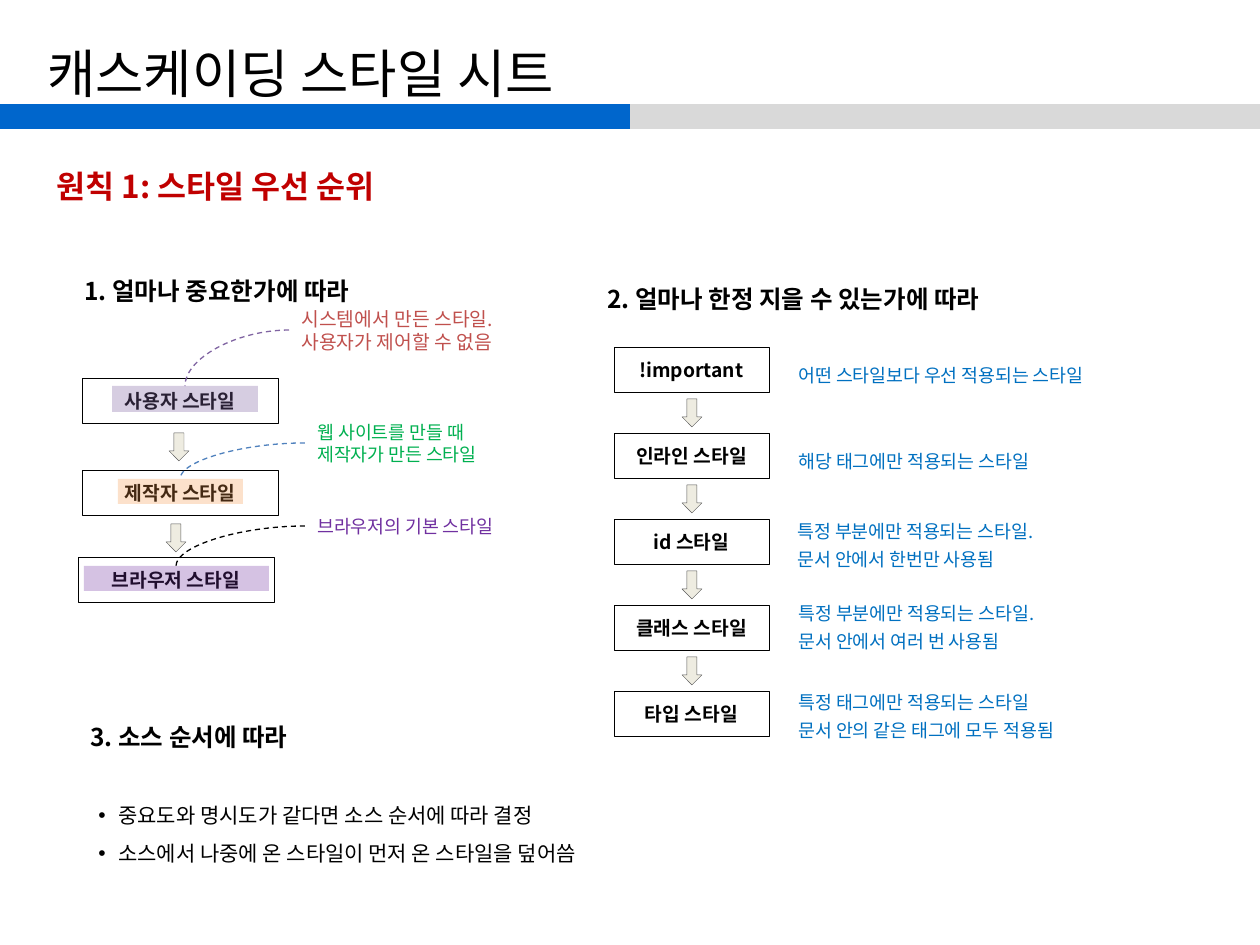
from lxml.etree import SubElement
from pptx import Presentation
from pptx.dml.color import RGBColor
from pptx.enum.dml import MSO_LINE
from pptx.enum.shapes import MSO_CONNECTOR, MSO_SHAPE
from pptx.enum.text import MSO_ANCHOR, PP_ALIGN
from pptx.oxml.ns import qn
from pptx.util import Pt

KOREAN = "Noto Sans CJK KR"
NO_STYLE = "{2D5ABB26-0587-4C30-8999-92F81FD0307C}"
BOX_HEIGHT = 45


def px(length):
    """Turn pixels into EMU at 126 pixels to the inch."""
    return round(length * 914400 / 126)


def paint(color_format, color):
    """Set a hex colour on a fill, line or font colour."""
    color_format.rgb = RGBColor.from_string(color)


def write(frame, lines, size, color="000000", bold=False, font=KOREAN, spacing=None, align=None):
    """Write each line as a paragraph; a tuple is one paragraph with line breaks."""
    frame.word_wrap = True
    for index, line in enumerate(lines):
        para = frame.paragraphs[0] if index == 0 else frame.add_paragraph()
        para.line_spacing = spacing
        para.alignment = align
        for number, part in enumerate(line if isinstance(line, tuple) else (line,)):
            if number:
                para.add_line_break()
            span = para.add_run()
            span.text = part
            span.font.name, span.font.size, span.font.bold = font, Pt(size), bold
            paint(span.font.color, color)
            SubElement(span.font._element, qn("a:ea"), typeface=KOREAN)


def add_text(page, box, lines, size, **style):
    """Add a wrapping text box and return its frame."""
    frame = page.shapes.add_textbox(*map(px, box)).text_frame
    write(frame, lines, size, **style)
    return frame


def add_figure(page, kind, box, fill=None, line=None, alpha=None):
    """Add a preset shape with optional fill, outline and opacity percentage."""
    shape = page.shapes.add_shape(kind, *map(px, box))
    shape.shadow.inherit = False
    if fill:
        shape.fill.solid()
        paint(shape.fill.fore_color, fill)
    else:
        shape.fill.background()
    if line:
        paint(shape.line.color, line)
        shape.line.width = Pt(0.25)
    else:
        shape.line.fill.background()
    if alpha:
        color = shape._element.spPr.find(qn("a:solidFill"))[0]
        SubElement(color, qn("a:alpha"), val=str(alpha * 1000))
    return shape


def add_step(page, left, top, width, label):
    """Add an outlined box with a centred bold label."""
    box = (left, top, width, BOX_HEIGHT)
    frame = add_figure(page, MSO_SHAPE.RECTANGLE, box, line="000000").text_frame
    frame.vertical_anchor = MSO_ANCHOR.MIDDLE
    write(frame, [label], 11, bold=True, align=PP_ALIGN.CENTER)


def add_arrow(page, left, top):
    """Add a small block arrow pointing down."""
    add_figure(page, MSO_SHAPE.DOWN_ARROW, (left, top, 20, 28), "EEECE1", "595959")


def add_curve(page, left, top, right, bottom, color):
    """Add a dashed quarter curve from the upper right to the lower left."""
    curve = page.shapes.add_connector(
        MSO_CONNECTOR.CURVE, px(left), px(bottom), px(right), px(top))
    properties = curve._element.spPr
    properties.find(qn("a:prstGeom")).set("prst", "curvedConnector2")
    properties.find(qn("a:xfrm")).set("rot", "10800000")
    paint(curve.line.color, color)
    curve.line.width = Pt(0.75)
    curve.line.dash_style = MSO_LINE.DASH
    SubElement(properties, qn("a:effectLst"))


def add_header(page, width):
    """Add the title and the two-coloured band across the page."""
    band = page.shapes.add_table(1, 2, 0, px(104), px(width), px(25)).table
    band.first_row = band.horz_banding = False
    band._tbl.tblPr.find(qn("a:tableStyleId")).text = NO_STYLE
    for cell, color in zip(band.rows[0].cells, ("0066CC", "D9D9D9")):
        cell.fill.solid()
        paint(cell.fill.fore_color, color)
        cell.margin_top = cell.margin_bottom = 0
        cell.text_frame.paragraphs[0]._p.get_or_add_endParaRPr().set("sz", "400")
    title = add_text(page, (35, 37, 1191, 70), ["캐스케이딩 스타일 시트"], 30)
    title.vertical_anchor = MSO_ANCHOR.MIDDLE
    add_text(page, (44, 161, 518, 51), ["원칙 1: 스타일 우선 순위"], 18, color="C00000", bold=True)


def add_importance(page, left, top):
    """Add the chain of style origins with highlighted names and notes."""
    add_text(page, (left, top, 338, 43), ["1. 얼마나 중요한가에 따라"], 14, bold=True)
    steps = [
        ((10, 108), "사용자 스타일", (40, 116, 146, 26), ("8064A2", 32)),
        ((10, 200), "제작자 스타일", (46, 209, 125, 25), ("F79646", 28)),
        ((6, 287), "브라우저 스타일", (12, 296, 185, 25), ("7030A0", 29)),
    ]
    notes = [
        ((217, 31, 257, 59), "시스템에서 만든 스타일. 사용자가 제어할 수 없음", 11, "C0504D", "8064A2"),
        ((233, 145, 220, 57), "웹 사이트를 만들 때 제작자가 만든 스타일", 10.5, "00B050", "4F81BD"),
        ((233, 239, 244, 35), "브라우저의 기본 스타일", 10.5, "7030A0", "000000"),
    ]
    for (x, y), label, _, _ in steps:
        add_step(page, left + x, top + y, 196, label)
    for x, y in ((97, 163), (94, 254)):
        add_arrow(page, left + x, top + y)
    for (_, _, mark, (fill, alpha)), (note, text, size, color, line) in zip(steps, notes):
        mark_x, mark_y, mark_width, mark_height = mark
        x, y, width, height = note
        add_figure(page, MSO_SHAPE.RECTANGLE,
                   (left + mark_x, top + mark_y, mark_width, mark_height), fill, alpha=alpha)
        add_text(page, (left + x, top + y, width, height), [text], size, color=color)
        add_curve(page, left + mark_x + mark_width // 2, top + y + height // 2,
                  left + x, top + mark_y, line)


def add_specificity(page, left, top):
    """Add the evenly spaced chain of selectors with a note beside each."""
    add_text(page, (left, top, 493, 43), ["2. 얼마나 한정 지을 수 있는가에 따라"], 14, bold=True)
    partial = "특정 부분에만 적용되는 스타일."
    steps = [
        ("!important", ["어떤 스타일보다 우선 적용되는 스타일"], (191, 69), 1.5),
        ("인라인 스타일", ["해당 태그에만 적용되는 스타일"], (191, 155), 1.5),
        ("id 스타일", [(partial, "문서 안에서 한번만 사용됨")], (190, 229), 1.3),
        ("클래스 스타일", [(partial, "문서 안에서 여러 번 사용됨")], (191, 311), 1.3),
        ("타입 스타일", ["특정 태그에만 적용되는 스타일", "문서 안의 같은 태그에 모두 적용됨"], (191, 400), 1.3),
    ]
    for index, (label, lines, (x, y), spacing) in enumerate(steps):
        step_top = top + 69 + 86 * index
        add_step(page, left + 19, step_top, 155, label)
        if index:
            add_arrow(page, left + 87, step_top - 34)
        height = 47 if spacing == 1.5 else 71
        add_text(page, (left + x, top + y, 400, height), lines, 10.5,
                 color="0070C0", spacing=spacing)


def add_source_order(page, left, top):
    """Add the source order heading and its bullets."""
    add_text(page, (left, top, 338, 43), ["3. 소스 순서에 따라"], 14, bold=True)
    lines = ["중요도와 명시도가 같다면 소스 순서에 따라 결정", "소스에서 나중에 온 스타일이 먼저 온 스타일을 덮어씀"]
    frame = add_text(page, (left + 8, top + 68, 537, 122), lines, 12, font="Arial", spacing=1.5)
    for para in frame.paragraphs:
        properties = para._p.get_or_add_pPr()
        properties.set("marL", str(px(20)))
        properties.set("indent", str(-px(20)))
        SubElement(properties, qn("a:buFont"), typeface="Arial")
        SubElement(properties, qn("a:buChar"), char="•")


def main():
    """Build the slide and save the deck."""
    deck = Presentation()
    deck.slide_width, deck.slide_height = px(1260), px(945)
    page = deck.slides.add_slide(deck.slide_layouts[6])
    add_header(page, 1260)
    add_importance(page, 72, 270)
    add_specificity(page, 595, 278)
    add_source_order(page, 78, 716)
    deck.save("out.pptx")


if __name__ == "__main__":
    main()
